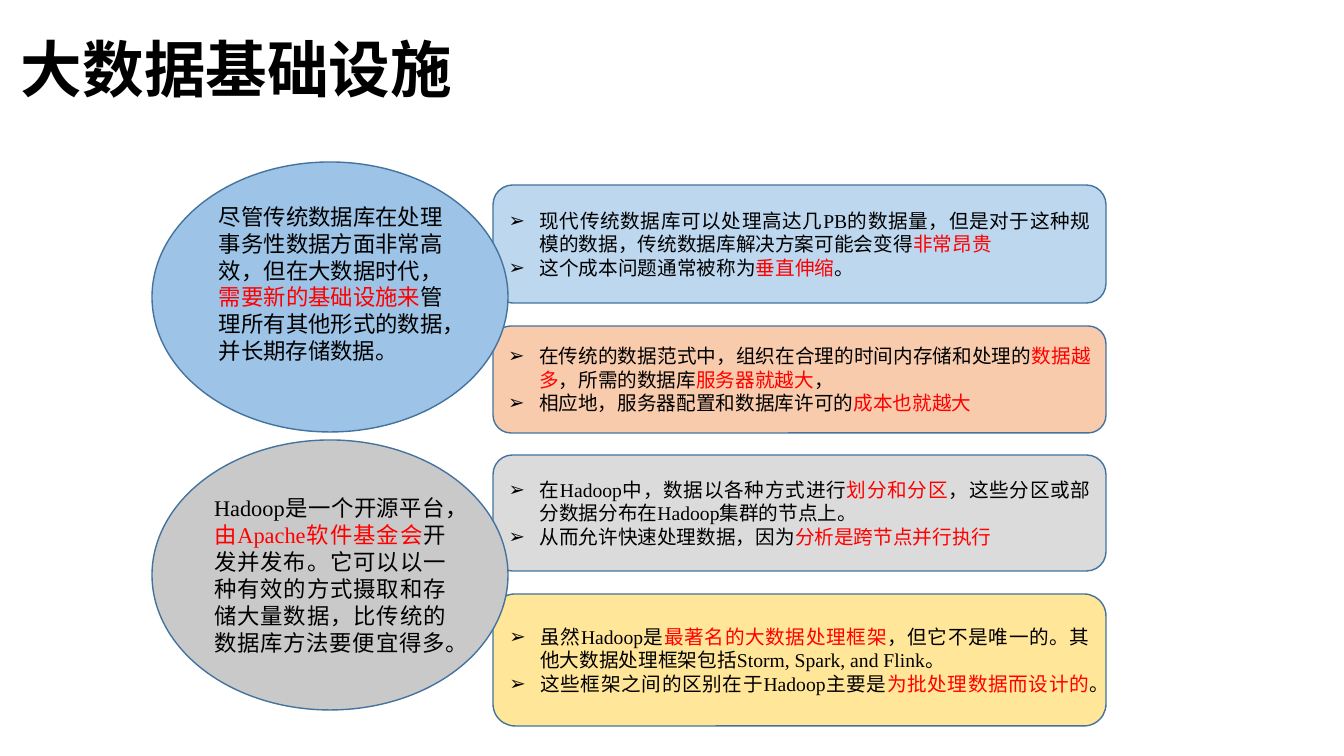
"""Build the slide on big data infrastructure."""
import lxml.etree
import pptx
import pptx.dml.color
import pptx.enum.lang
import pptx.enum.shapes
import pptx.enum.text
import pptx.oxml.ns
import pptx.util

PX = 914400 / 100.8
FONT = "Times New Roman"
COLORS = {
    "text": "000000", "accent": "FF0000", "outline": "43739E",
    "database": "9DC3E6", "hadoop": "C9C9C9",
    "cost": "BDD7EE", "servers": "F8CBAD",
    "partitions": "DBDBDB", "frameworks": "FFE699",
}
SHAPES = pptx.enum.shapes.MSO_SHAPE
ALIGN = pptx.enum.text.PP_ALIGN
MIDDLE = pptx.enum.text.MSO_ANCHOR.MIDDLE

DATABASE_TEXT = ("尽管传统数据库在处理事务性数据方面非常高效，但在大数据时代，"
                 "|需要新的基础设施来|管理所有其他形式的数据，并长期存储数据。")
HADOOP_TEXT = ("Hadoop是一个开源平台，|由Apache软件基金会|开发并发布。"
               "它可以以一种有效的方式摄取和存储大量数据，比传统的数据库方法要便宜得多。")
POINTS = [
    ("cost", 185, 118, [
        "现代传统数据库可以处理高达几PB的数据量，但是对于这种规模的数据，"
        "传统数据库解决方案可能会变得|非常昂贵",
        "这个成本问题通常被称为|垂直伸缩|。"]),
    ("servers", 326, 107, [
        "在传统的数据范式中，组织在合理的时间内存储和处理的|数据越多|，"
        "所需的数据库|服务器就越大|，",
        "相应地，服务器配置和数据库许可的|成本也就越大"]),
    ("partitions", 455, 116, [
        "在Hadoop中，数据以各种方式进行|划分和分区|，"
        "这些分区或部分数据分布在Hadoop集群的节点上。",
        "从而允许快速处理数据，因为|分析是跨节点并行执行"]),
    ("frameworks", 594, 132, [
        "虽然Hadoop是|最著名的大数据处理框架|，但它不是唯一的。"
        "其他大数据处理框架包括Storm, Spark, and Flink。",
        "这些框架之间的区别在于Hadoop主要是|为批处理数据而设计的|。"]),
]


def px(length):
    """Turn pixels into EMU."""
    return pptx.util.Emu(round(length * PX))


def rgb(name):
    """Look up a named colour."""
    return pptx.dml.color.RGBColor.from_string(COLORS[name])


def write(paragraph, text, size, bold=False, align=ALIGN.JUSTIFY):
    """Write text whose every second part between bars is accented."""
    paragraph.alignment = align
    for index, part in enumerate(text.split("|")):
        run = paragraph.add_run()
        run.text = part
        run.font.name = FONT
        run.font.size = pptx.util.Pt(size)
        run.font.bold = bold
        run.font.language_id = pptx.enum.lang.MSO_LANGUAGE_ID.SIMPLIFIED_CHINESE
        run.font.color.rgb = rgb("accent" if index % 2 else "text")


def add_bullet(paragraph, indent):
    """Give a paragraph an arrow bullet with a hanging indent."""
    properties = paragraph._p.get_or_add_pPr()
    properties.set("marL", str(px(indent)))
    properties.set("indent", str(-px(indent)))
    for tag, key, value in (("a:buFont", "typeface", "Arial"), ("a:buChar", "char", "➢")):
        element = lxml.etree.SubElement(properties, pptx.oxml.ns.qn(tag))
        element.set(key, value)


def add_panel(slide, kind, box, color):
    """Draw an outlined, filled shape in the box."""
    shape = slide.shapes.add_shape(kind, *map(px, box))
    shape.shadow.inherit = False
    shape.fill.solid()
    shape.fill.fore_color.rgb = rgb(color)
    shape.line.color.rgb = rgb("outline")
    shape.line.width = pptx.util.Pt(1)
    shape.text_frame.word_wrap = True
    shape.text_frame.vertical_anchor = MIDDLE
    return shape


def add_text_box(slide, box):
    """Add a wrapping text box and return its frame."""
    frame = slide.shapes.add_textbox(*map(px, box)).text_frame
    frame.word_wrap = True
    return frame


def add_title(slide, box):
    """Place the slide title."""
    frame = add_text_box(slide, box)
    frame.vertical_anchor = MIDDLE
    frame.paragraphs[0].line_spacing = 0.9
    write(frame.paragraphs[0], "大数据基础设施", 44, bold=True, align=ALIGN.LEFT)


def add_points(slide, box, color, points):
    """Place a rounded box of bulleted points."""
    frame = add_panel(slide, SHAPES.ROUNDED_RECTANGLE, box, color).text_frame
    for index, point in enumerate(points):
        paragraph = frame.add_paragraph() if index else frame.paragraphs[0]
        add_bullet(paragraph, 31)
        write(paragraph, point, 14)


def add_topics(slide, left, top, width, height):
    """Place the two topic ellipses, one above the other."""
    add_panel(slide, SHAPES.OVAL, (left, top, width, height), "database")
    frame = add_text_box(slide, (left + 57, top + 36, 244, 200))
    write(frame.paragraphs[0], DATABASE_TEXT, 16)
    hadoop = add_panel(slide, SHAPES.OVAL, (left, top + height + 8, width, height), "hadoop")
    write(hadoop.text_frame.paragraphs[0], HADOOP_TEXT, 16)


def main():
    """Build and save the presentation."""
    presentation = pptx.Presentation()
    presentation.slide_width = px(1344)
    presentation.slide_height = px(756)
    slide = presentation.slides.add_slide(presentation.slide_layouts[6])
    add_title(slide, (11, 0, 1159, 146))
    for color, top, height, points in POINTS:
        add_points(slide, (493, top, 613, height), color, points)
    add_topics(slide, 152, 162, 356, 270)
    presentation.save("out.pptx")


if __name__ == "__main__":
    main()
